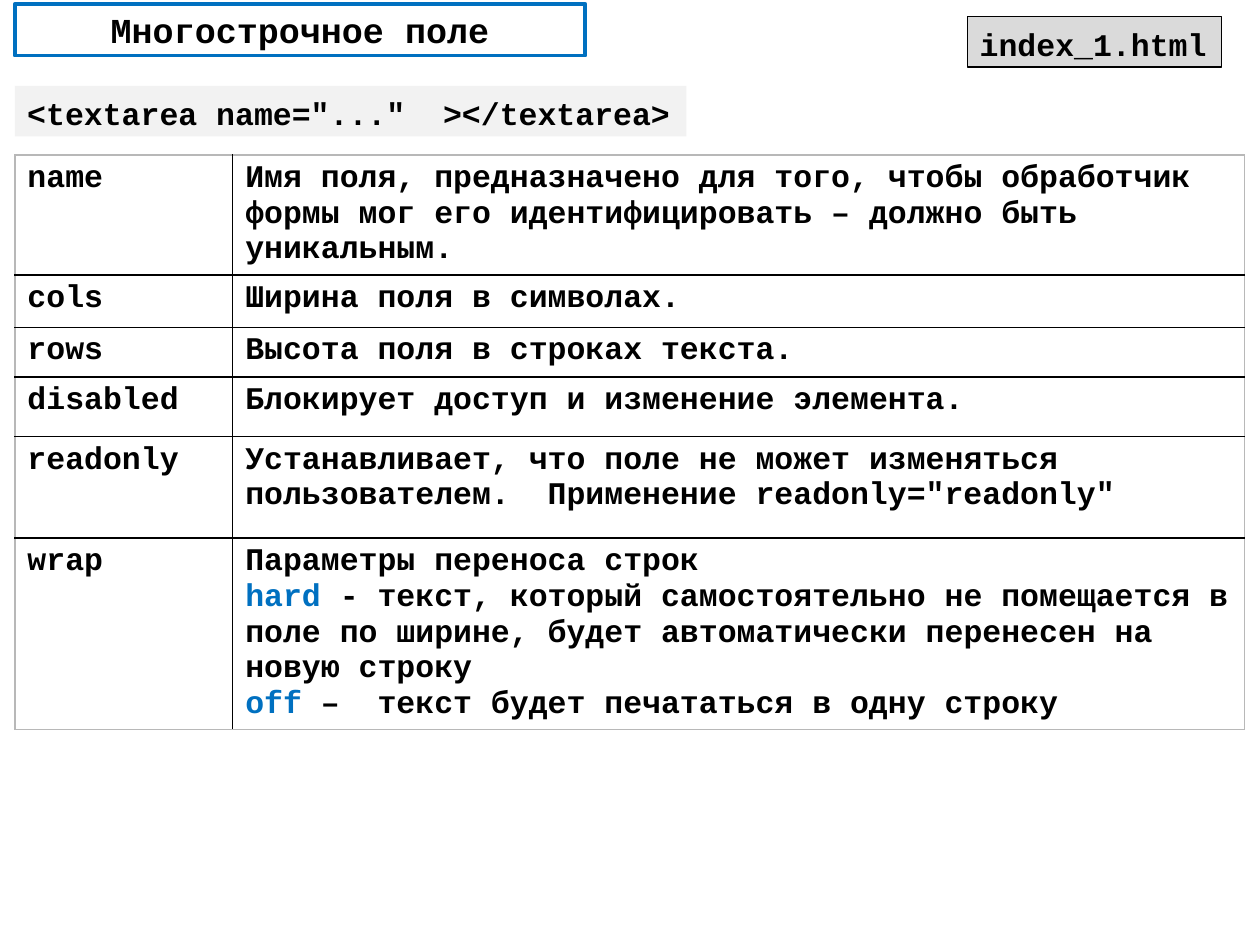
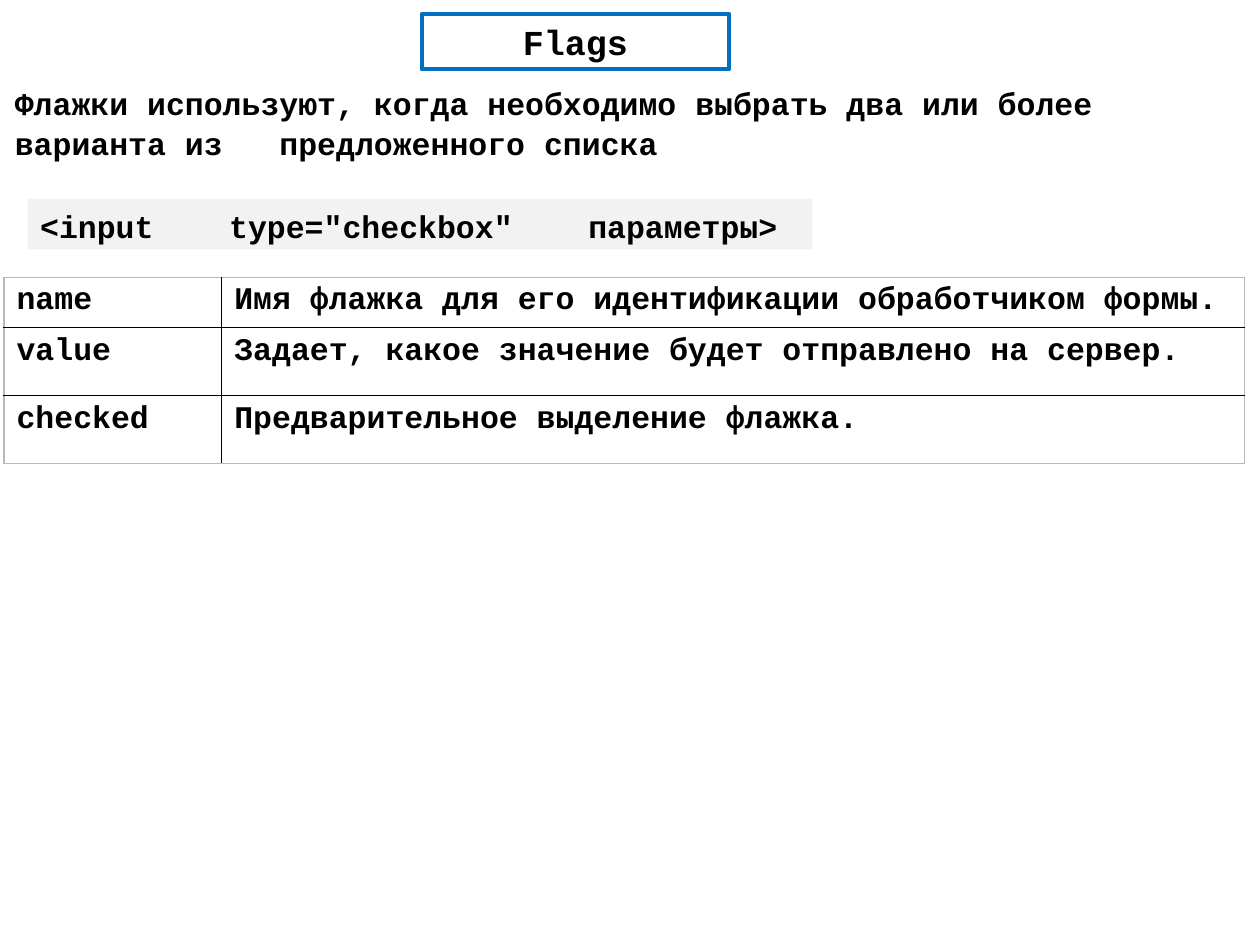
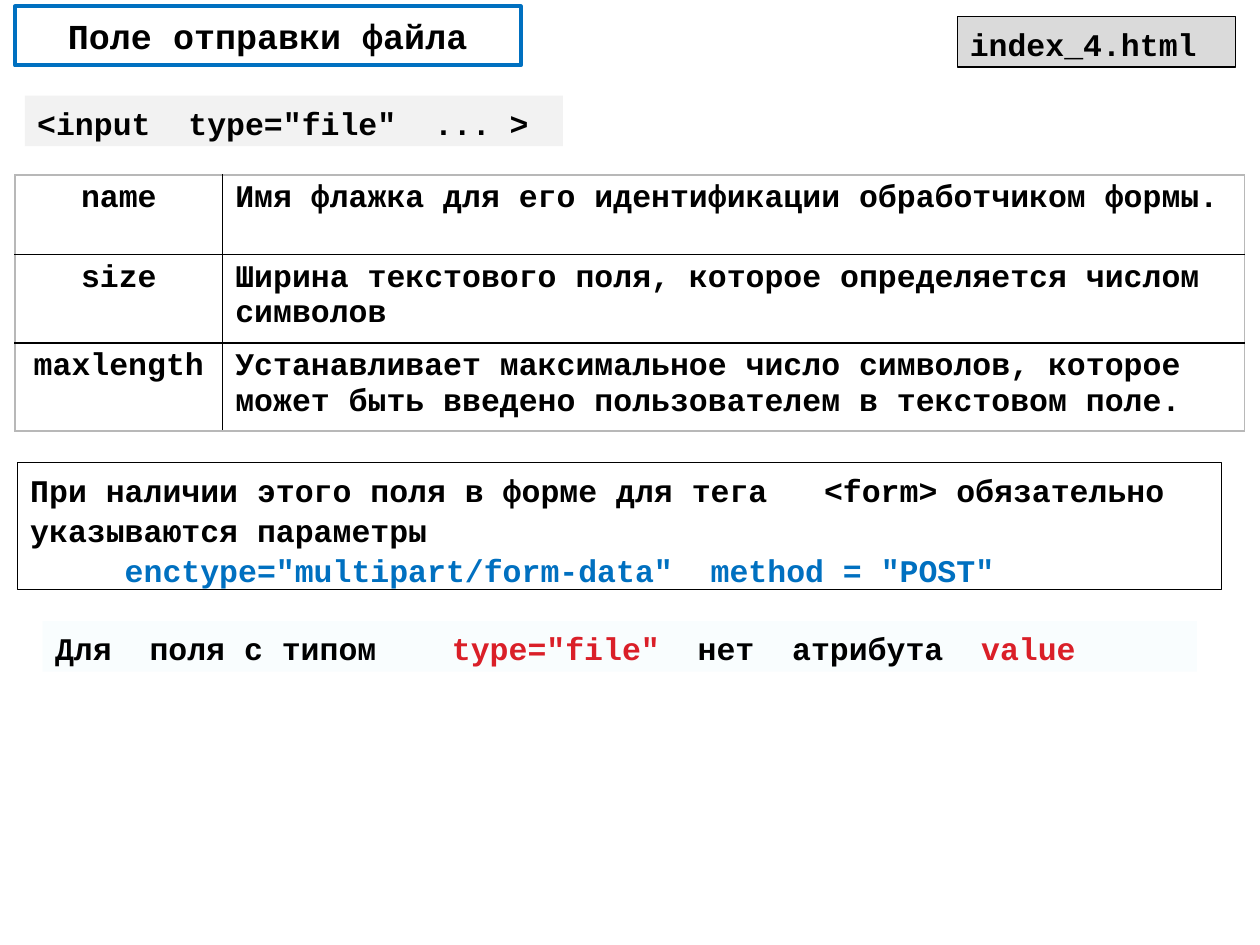
"""Build three slides about HTML form fields: textarea, checkbox and file."""
from lxml import etree
from pptx import Presentation
from pptx.dml.color import RGBColor
from pptx.enum.shapes import MSO_SHAPE
from pptx.enum.text import MSO_ANCHOR, MSO_AUTO_SIZE, PP_ALIGN
from pptx.oxml.ns import qn
from pptx.util import Cm, Pt

RECT = MSO_SHAPE.RECTANGLE
TOP, MIDDLE = MSO_ANCHOR.TOP, MSO_ANCHOR.MIDDLE
LEFT, CENTER = PP_ALIGN.LEFT, PP_ALIGN.CENTER
NO_FIT = MSO_AUTO_SIZE.NONE

BLACK = RGBColor(0x00, 0x00, 0x00)
WHITE = RGBColor(0xFF, 0xFF, 0xFF)
BLUE = RGBColor(0x00, 0x70, 0xC0)
RED = RGBColor(0xDA, 0x1F, 0x28)
BADGE_GRAY = RGBColor(0xDA, 0xDA, 0xDA)
CODE_GRAY = RGBColor(0xF2, 0xF2, 0xF2)
FRAME_GRAY = RGBColor(0xB8, 0xB8, 0xB8)
PALE_BLUE = RGBColor(0xF9, 0xFD, 0xFE)

FONT = "Courier New"
SIZE = 18
TITLE_SIZE = 20
CHAR_WIDTH = Pt(SIZE * 0.6)
BOX_SPACING = 1.06
ROW_HEIGHT = 1.02


def add_tabs(p, columns):
    """Set tab stops at character columns of the monospaced font."""
    tabs = etree.SubElement(p._p.get_or_add_pPr(), qn("a:tabLst"))
    for column in columns:
        etree.SubElement(tabs, qn("a:tab"), pos=str(column * CHAR_WIDTH), algn="l")


def write(tf, lines, size=SIZE, align=LEFT, spacing=None, tabs=None):
    """Write lines, each a string or a list of (text, colour) runs."""
    for i, line in enumerate(lines):
        p = tf.paragraphs[0] if i == 0 else tf.add_paragraph()
        if tabs and i in tabs:
            add_tabs(p, tabs[i])
        p.alignment = align
        if spacing:
            p.line_spacing = spacing
        p.font.name, p.font.size, p.font.bold = FONT, Pt(size), True
        runs = [(line, BLACK)] if isinstance(line, str) else line
        for text, color in runs:
            r = p.add_run()
            r.text = text
            r.font.color.rgb = color


def add_title(prs, text, left, top, width, height):
    """Add a title-only slide with a blue-framed title."""
    slide = prs.slides.add_slide(prs.slide_layouts[5])
    sp = slide.shapes.title
    sp.left, sp.top, sp.width, sp.height = Cm(left), Cm(top), Cm(width), Cm(height)
    sp.fill.solid()
    sp.fill.fore_color.rgb = WHITE
    sp.line.color.rgb = BLUE
    sp.line.width = Pt(2.25)
    tf = sp.text_frame
    tf.auto_size = NO_FIT
    tf.vertical_anchor = MIDDLE
    write(tf, [text], TITLE_SIZE, CENTER)
    return slide


def add_box(slide, lines, left, top, width, height=ROW_HEIGHT,
            fill=None, line=None, tabs=None):
    """Add a rectangle with left-aligned text."""
    sp = slide.shapes.add_shape(RECT, Cm(left), Cm(top), Cm(width), Cm(height))
    sp.shadow.inherit = False
    if fill is None:
        sp.fill.background()
    else:
        sp.fill.solid()
        sp.fill.fore_color.rgb = fill
    if line is None:
        sp.line.fill.background()
    else:
        sp.line.color.rgb = line
        sp.line.width = Pt(0.75)
    tf = sp.text_frame
    tf.word_wrap = True
    tf.vertical_anchor = TOP
    write(tf, lines, spacing=BOX_SPACING, tabs=tabs)


def add_code(slide, code, left, top, width):
    """Add a grey strip with a tag's syntax."""
    add_box(slide, [code], left, top, width, fill=CODE_GRAY)


def add_badge(slide, name, left, width):
    """Add the framed file name at the top right."""
    add_box(slide, [name], left, 0.33, width, fill=BADGE_GRAY, line=BLACK)


def add_text(slide, lines, left, top, width, height, tabs=None):
    """Add a plain text box."""
    tf = slide.shapes.add_textbox(Cm(left), Cm(top), Cm(width), Cm(height)).text_frame
    tf.word_wrap = True
    write(tf, lines, spacing=BOX_SPACING, tabs=tabs)


def set_borders(cell, colors):
    """Draw the left, right, top and bottom borders of a cell."""
    tcPr = cell._tc.get_or_add_tcPr()
    for i, (side, color) in enumerate(zip(("lnL", "lnR", "lnT", "lnB"), colors)):
        ln = etree.Element(qn(f"a:{side}"), w=str(Pt(1)))
        fill = etree.SubElement(ln, qn("a:solidFill"))
        etree.SubElement(fill, qn("a:srgbClr"), val=str(color))
        tcPr.insert(i, ln)


def add_attributes(slide, left, top, widths, rows, name_align=LEFT):
    """Add a table of (height, name, description lines, tabs) rows."""
    heights = [row[0] for row in rows]
    table = slide.shapes.add_table(len(rows), 2, Cm(left), Cm(top),
                                   Cm(sum(widths)), Cm(sum(heights))).table
    table.first_row = table.horz_banding = False
    for column, width in zip(table.columns, widths):
        column.width = Cm(width)
    last = len(rows) - 1
    for i, (height, name, description, tabs) in enumerate(rows):
        table.rows[i].height = Cm(height)
        upper = FRAME_GRAY if i == 0 else BLACK
        lower = FRAME_GRAY if i == last else BLACK
        name_cell, text_cell = table.cell(i, 0), table.cell(i, 1)
        for cell in (name_cell, text_cell):
            cell.fill.background()
        set_borders(name_cell, (FRAME_GRAY, BLACK, upper, lower))
        set_borders(text_cell, (BLACK, FRAME_GRAY, upper, lower))
        write(name_cell.text_frame, [name], align=name_align)
        write(text_cell.text_frame, description, tabs=tabs)


def build_textarea(prs):
    """Build the slide on the multi-line field."""
    slide = add_title(prs, "Многострочное поле", 0.3, 0.08, 11.5, 1.04)
    add_badge(slide, "index_1.html", 19.5, 5.13)
    add_code(slide, '<textarea name="..."  ></textarea>', 0.3, 1.73, 13.54)
    wrap = [
        "Параметры переноса строк",
        [("hard", BLUE), (" - текст, который самостоятельно не помещается в поле "
                          "по ширине, будет автоматически перенесен на новую строку", BLACK)],
        [("off ", BLUE), ("–\tтекст будет печататься в одну строку", BLACK)],
    ]
    add_attributes(slide, 0.3, 3.12, (4.39, 20.4), [
        (2.42, "name", ["Имя поля, предназначено для того, чтобы обработчик формы мог "
                        "его идентифицировать – должно быть уникальным."], None),
        (1.06, "cols", ["Ширина поля в символах."], None),
        (1.0, "rows", ["Высота поля в строках текста."], None),
        (1.2, "disabled", ["Блокирует доступ и изменение элемента."], None),
        (2.05, "readonly", ["Устанавливает, что поле не может изменяться пользователем."
                            '\tПрименение readonly="readonly"'], {0: [16]}),
        (3.83, "wrap", wrap, {2: [7]}),
    ])


def build_checkbox(prs):
    """Build the slide on checkboxes."""
    slide = add_title(prs, "Flags", 8.5, 0.28, 6.2, 1.12)
    add_text(slide, ["Флажки используют, когда необходимо выбрать два или более",
                     "варианта из\tпредложенного списка"],
             0.05, 1.52, 25.04, 1.8, tabs={1: [14]})
    add_code(slide, '<input    type="checkbox"    параметры>', 0.56, 4.01, 15.82)
    add_attributes(slide, 0.08, 5.59, (4.39, 20.62), [
        (0.97, "name", ["Имя флажка для его идентификации обработчиком формы."], None),
        (1.37, "value", ["Задает, какое значение будет отправлено на сервер."], None),
        (1.37, "checked", ["Предварительное выделение флажка."], None),
    ])


def build_file(prs):
    """Build the slide on the file upload field."""
    slide = add_title(prs, "Поле отправки файла", 0.3, 0.13, 10.2, 1.19)
    add_badge(slide, "index_4.html", 19.3, 5.61)
    add_code(slide, '<input  type="file"  ... >', 0.5, 1.93, 10.85)
    add_attributes(slide, 0.3, 3.53, (4.19, 20.6), [
        (1.6, "name", ["Имя флажка для его идентификации обработчиком формы."], None),
        (1.78, "size", ["Ширина текстового поля, которое определяется числом "
                        "символов"], None),
        (1.78, "maxlength", ["Устанавливает максимальное число символов, которое может "
                             "быть введено пользователем в текстовом поле."], None),
    ], CENTER)
    add_box(slide, ["При наличии этого поля в форме для тега\t<form> обязательно",
                    "указываются параметры",
                    [('     enctype="multipart/form-data"  method = "POST"', BLUE)]],
            0.36, 9.32, 24.26, 2.57, line=BLACK, tabs={0: [42]})
    add_box(slide, [[("Для\tполя с типом\t", BLACK), ('type="file"\t', RED),
                     ("нет\tатрибута\t", BLACK), ("value", RED)]],
            0.86, 12.52, 23.27, fill=PALE_BLUE, tabs={0: [5, 21, 34, 39, 49]})


def main():
    """Create the presentation and save it."""
    prs = Presentation()
    prs.slide_width, prs.slide_height = Cm(25.4), Cm(19.05)
    build_textarea(prs)
    build_checkbox(prs)
    build_file(prs)
    prs.save("out.pptx")


if __name__ == "__main__":
    main()
